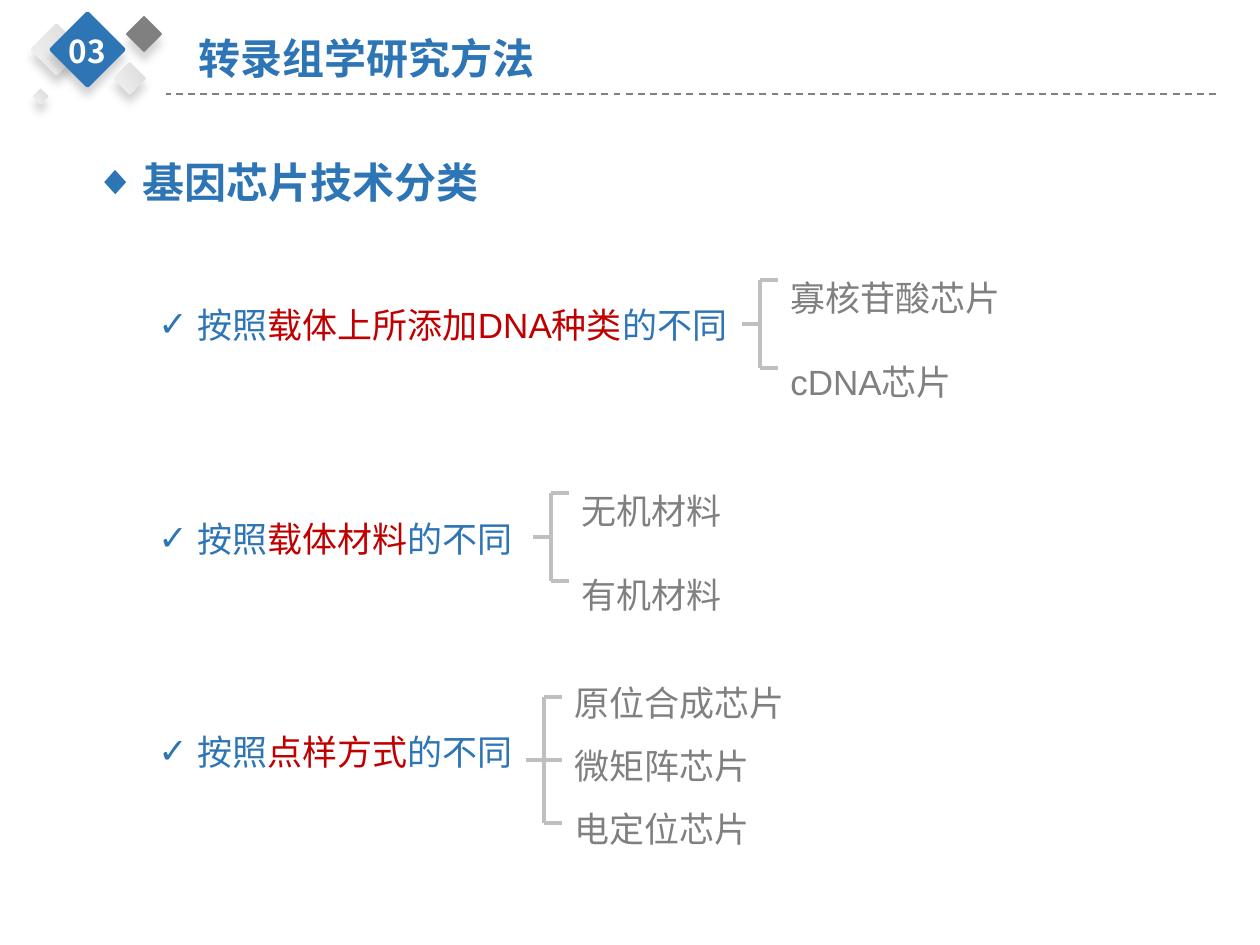
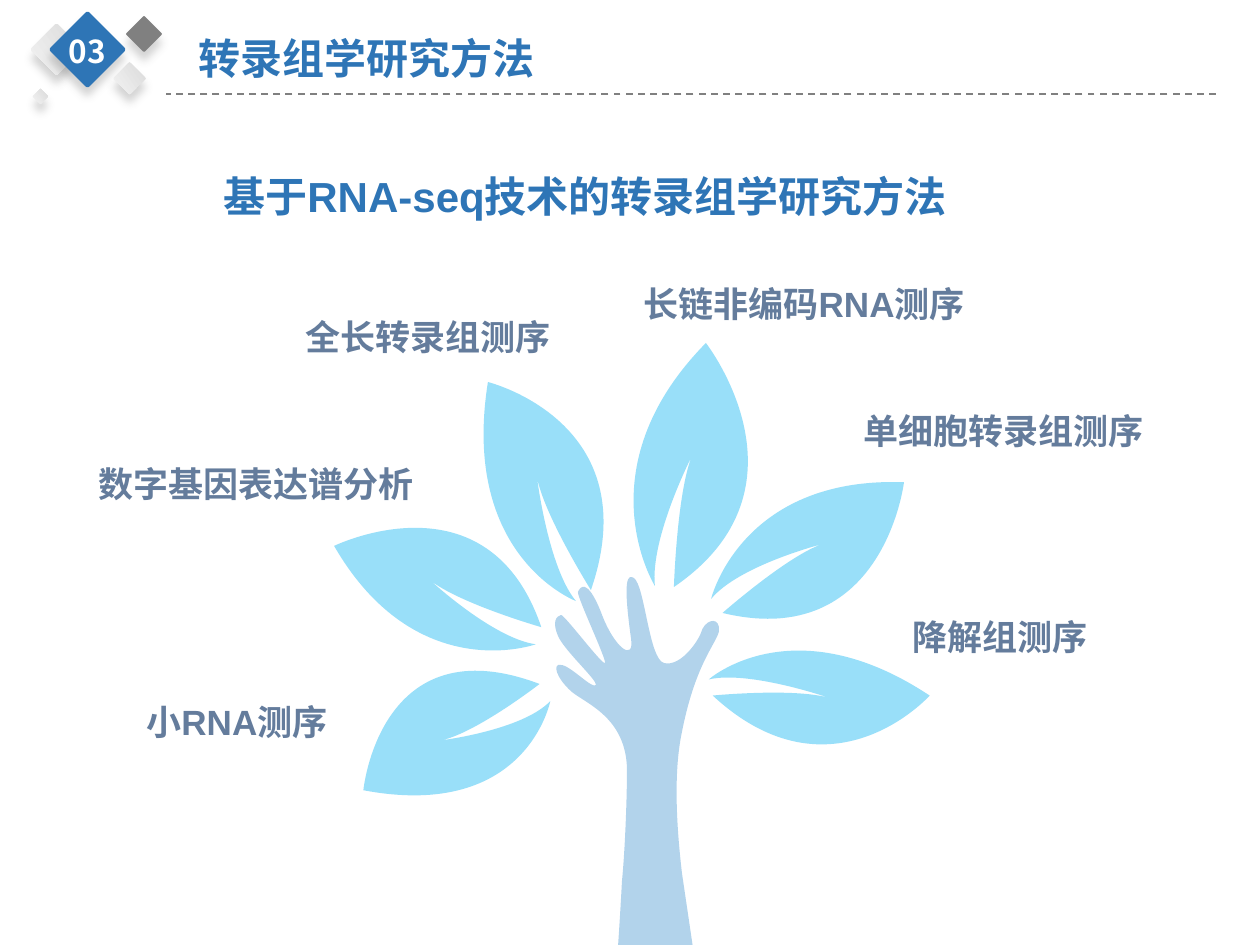
from lxml import etree
from pptx import Presentation
from pptx.dml.color import RGBColor
from pptx.enum.dml import MSO_LINE
from pptx.enum.shapes import MSO_CONNECTOR, MSO_SHAPE
from pptx.enum.text import PP_ALIGN
from pptx.oxml.ns import qn
from pptx.util import Emu, Pt

STRAIGHT = MSO_CONNECTOR.STRAIGHT
ROUNDED = MSO_SHAPE.ROUNDED_RECTANGLE
DASH = MSO_LINE.DASH
CENTER, JUSTIFY = PP_ALIGN.CENTER, PP_ALIGN.JUSTIFY

EMU_PER_PX = 914400 / 126
BLUE, RED, GRAY, SILVER = "2E75B6", "C00000", "808080", "BFBFBF"
WHITE, SLATE, SKY, ARM_BLUE = "FFFFFF", "647C9C", "00B0F0", "0070C0"
SHADOW, PALE = "595959", ("F2F2F2", "DBDBDB")
HEADER_FONT, BODY_FONT = "Noto Sans CJK SC", "Arial"

# left, top, side, fill (a pair is a gradient)
HEADER_DIAMONDS = [
    (38, 31, 37, PALE),
    (60, 22, 55, BLUE),
    (131, 21, 26, GRAY),
    (118, 67, 23, PALE),
    (35, 91, 11, PALE),
]

CRITERIA = ["载体上所添加DNA种类", "载体材料", "点样方式"]

# stem x, stem top, stem bottom, text top, text width, line spacing, items
BRACKETS = [
    (760, 280, 368, 228, 243, 2.0, ["寡核苷酸芯片", "cDNA芯片"]),
    (551, 493, 581, 441, 243, 2.0, ["无机材料", "有机材料"]),
    (544, 697, 823, 654, 368, 1.5, ["原位合成芯片", "微矩阵芯片", "电定位芯片"]),
]
ARM = 18

LEAF_LABELS = [
    (293, 301, "全长转录组测序"),
    (86, 448, "数字基因表达谱分析"),
    (900, 601, "降解组测序"),
    (631, 268, "长链非编码RNA测序"),
    (851, 395, "单细胞转录组测序"),
    (134, 686, "小RNA测序"),
]

# Rotation, then the four corners of each leaf before it is turned,
# each corner followed by the control point of the next edge
LEAVES = [
    (0, [(576, 601), (460, 557), (488, 382), (649, 422),
         (591, 590), (544, 515), (537, 477), (548, 567)]),
    (0, [(655, 586), (582, 469), (706, 343), (819, 488),
         (674, 587), (677, 493), (692, 456), (650, 538)]),
    (19.1, [(706, 715), (761, 617), (920, 658), (863, 794),
            (715, 729), (789, 695), (826, 693), (741, 693)]),
    (14.7, [(550, 618), (445, 690), (330, 574), (460, 462),
            (551, 600), (467, 598), (432, 583), (507, 623)]),
    (137.3, [(931, 599), (826, 669), (710, 554), (840, 443),
             (932, 581), (846, 579), (812, 564), (888, 605)]),
    (229.4, [(398, 828), (322, 732), (452, 628), (568, 749),
             (418, 831), (422, 752), (439, 720), (394, 788)]),
]

# Three points make a curve, one point a straight edge
HAND_START = (630, 577)
HAND = [
    [(631, 577), (633, 577), (634, 578)],
    [(645, 586), (649, 659), (664, 663)],
    [(680, 667), (697, 643), (701, 633)],
    [(704, 621), (717, 616), (719, 627)],
    [(722, 639), (697, 655), (682, 732)],
    [(673, 774), (677, 830), (682, 873)],
    [(695, 961)],
    [(617, 961)],
    [(617, 960)],
    [(619, 937), (622, 882), (622, 881)],
    [(625, 851), (627, 800), (627, 769)],
    [(626, 718), (587, 704), (572, 692)],
    [(556, 678), (552, 663), (561, 665)],
    [(570, 665), (593, 690), (596, 685)],
    [(597, 680), (568, 654), (559, 638)],
    [(551, 621), (557, 616), (561, 615)],
    [(564, 614), (602, 665), (605, 663)],
    [(607, 660), (577, 597), (578, 592)],
    [(580, 587), (587, 577), (601, 612)],
    [(614, 648), (635, 663), (631, 638)],
    [(627, 609), (624, 580), (630, 577)],
]


def px(length):
    return Emu(round(length * EMU_PER_PX))


def color(value):
    return RGBColor.from_string(value)


def add_line(slide, start, end, line_color, width, dash=None):
    line = slide.shapes.add_connector(STRAIGHT, *map(px, start + end))
    line.line.color.rgb = color(line_color)
    line.line.width = Pt(width)
    if dash:
        line.line.dash_style = dash
    etree.SubElement(line._element.spPr, qn("a:effectLst"))


def add_text(slide, place, paragraphs, size, font_color, font=BODY_FONT, bold=False,
             align=None, spacing=None, before=0, bullet=None, indent=0, wrap=True):
    """Each paragraph is a string, or a list of (text, colour) spans."""
    box = slide.shapes.add_textbox(*map(px, place))
    frame = box.text_frame
    frame.word_wrap = wrap
    for index, content in enumerate(paragraphs):
        para = frame.add_paragraph() if index else frame.paragraphs[0]
        if indent:
            set_indent(para, indent, bullet)
        para.alignment = align
        para.line_spacing = spacing
        if index and before:
            para.space_before = Pt(before)
        para.font.size = Pt(size)
        para.font.name = font
        para.font.bold = bold
        if isinstance(content, str):
            para.add_run().text = content
            para.font.color.rgb = color(font_color)
        else:
            for text, span_color in content:
                span = para.add_run()
                span.text = text
                span.font.color.rgb = color(span_color)
    return box


def set_indent(para, indent, bullet):
    """Indent the paragraph, hanging a bullet in the indent if there is one."""
    properties = para._p.get_or_add_pPr()
    properties.set("marL", str(px(indent)))
    properties.set("indent", str(px(-indent if bullet else 0)))
    if bullet:
        etree.SubElement(properties, qn("a:buFont"), typeface=BODY_FONT)
        etree.SubElement(properties, qn("a:buChar"), char=bullet)


def add_shadow(shape):
    effects = etree.SubElement(shape._element.spPr, qn("a:effectLst"))
    shadow = etree.SubElement(effects, qn("a:outerShdw"), blurRad=str(Pt(5)), dist=str(Pt(5)),
                              dir="5400000", algn="t", rotWithShape="0")
    tint = etree.SubElement(shadow, qn("a:srgbClr"), val=SHADOW)
    etree.SubElement(tint, qn("a:alpha"), val="25000")


def add_diamond(slide, left, top, side, fill):
    diamond = slide.shapes.add_shape(ROUNDED, px(left), px(top), px(side), px(side))
    diamond.rotation = 45
    diamond.adjustments[0] = 0.05
    diamond.line.fill.background()
    if isinstance(fill, str):
        diamond.fill.solid()
        diamond.fill.fore_color.rgb = color(fill)
    else:
        diamond.fill.gradient()
        diamond.fill.gradient_angle = 80
        for stop, stop_color, position in zip(diamond.fill.gradient_stops, fill, (0, 1)):
            stop.color.rgb = color(stop_color)
            stop.position = position
    add_shadow(diamond)


def add_header(slide):
    add_line(slide, (1216, 94), (166, 94), GRAY, 1, DASH)
    add_text(slide, (186, 26, 364, 63), ["转录组学研究方法"], 24, BLUE,
             HEADER_FONT, bold=True, wrap=False)
    for diamond in HEADER_DIAMONDS:
        add_diamond(slide, *diamond)
    add_text(slide, (55, 26, 65, 50), ["03"], 18, WHITE,
             HEADER_FONT, bold=True, align=CENTER, wrap=False)


def add_bracket(slide, stem, top, bottom, text_top, width, spacing, items):
    """Draw a lead, a stem and an arm for each item; a middle arm prolongs the lead."""
    middle = (top + bottom) // 2
    add_line(slide, (stem, top), (stem + ARM, top), SILVER, 2.25)
    add_line(slide, (stem, bottom), (stem + ARM, bottom), SILVER, 2.25)
    add_line(slide, (stem, top), (stem, bottom), SILVER, 2.25)
    lead_end = stem + ARM if len(items) == 3 else stem
    add_line(slide, (stem - ARM, middle), (lead_end, middle), SILVER, 2.25)
    height = 170 if len(items) == 2 else 197
    add_text(slide, (stem + ARM, text_top, width, height), items, 20, GRAY,
             align=JUSTIFY, spacing=spacing)


def bend_edges(outline, edges):
    """Turn each run of three straight segments that stands for a curve into one."""
    segments = iter(list(outline._element.iter(qn("a:lnTo"))))
    for edge in edges:
        parts = [next(segments) for _ in edge]
        if len(parts) == 3:
            curve = etree.Element(qn("a:cubicBezTo"))
            parts[0].addprevious(curve)
            for part in parts:
                curve.append(part[0])
                part.getparent().remove(part)


def add_outline(slide, start, edges, fill, opacity):
    builder = slide.shapes.build_freeform(*start, scale=EMU_PER_PX)
    builder.add_line_segments([point for edge in edges for point in edge], close=True)
    outline = builder.convert_to_shape()
    bend_edges(outline, edges)
    outline.shadow.inherit = False
    outline.line.fill.background()
    outline.fill.solid()
    outline.fill.fore_color.rgb = color(fill)
    tint = outline._element.spPr.find(qn("a:solidFill"))[0]
    etree.SubElement(tint, qn("a:alpha"), val=str(opacity * 1000))
    return outline


def add_leaf(slide, rotation, points):
    corners, controls = points[::2], points[1::2]
    ends = corners[1:] + corners[:1]
    edges = list(zip(corners, controls, ends))
    leaf = add_outline(slide, corners[0], edges, SKY, 40)
    leaf.rotation = rotation


def build_chip_types(slide):
    add_header(slide)
    add_text(slide, (82, 125, 636, 79), ["基因芯片技术分类"], 24, BLUE, bold=True,
             spacing=1.5, bullet="◆", indent=48)
    lines = [[("按照", BLUE), (criterion, RED), ("的不同", BLUE)] for criterion in CRITERIA]
    criteria = add_text(slide, (146, 267, 1048, 518), lines, 20, BLUE, align=JUSTIFY,
                        spacing=1.5, before=86, bullet="✓", indent=39)
    criteria.text_frame.margin_top = px(16)
    for bracket in BRACKETS:
        add_bracket(slide, *bracket)


def build_sequencing_tree(slide):
    add_header(slide)
    add_text(slide, (125, 139, 1128, 79), ["基于RNA-seq技术的转录组学研究方法"], 24, BLUE,
             bold=True, spacing=1.5, indent=86)
    for left, top, label in LEAF_LABELS:
        add_text(slide, (left, top, 352, 59), [label], 20, SLATE, bold=True, spacing=Pt(29))
    add_outline(slide, HAND_START, HAND, ARM_BLUE, 30)
    for rotation, points in LEAVES:
        add_leaf(slide, rotation, points)


def main():
    deck = Presentation()
    deck.slide_width, deck.slide_height = px(1260), px(945)
    blank = deck.slide_layouts[6]
    for build in (build_chip_types, build_sequencing_tree):
        build(deck.slides.add_slide(blank))
    deck.save("out.pptx")


if __name__ == "__main__":
    main()
